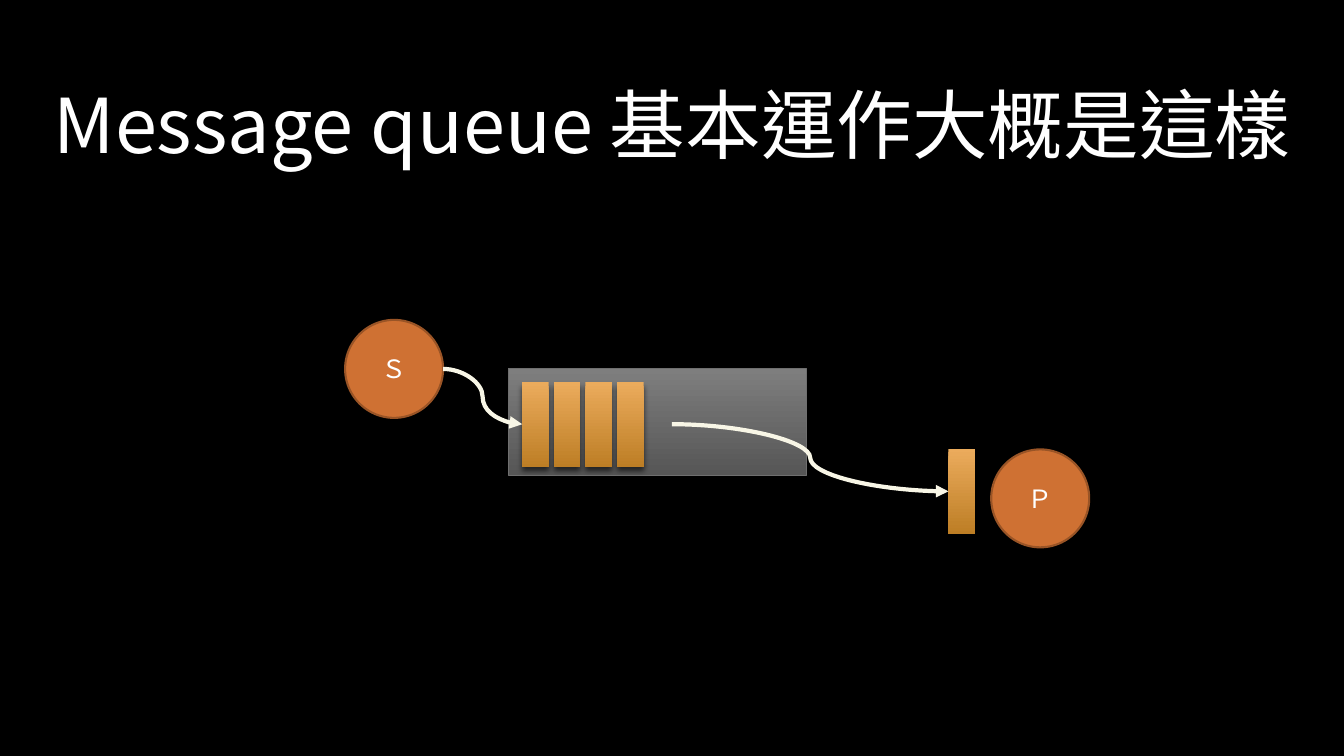
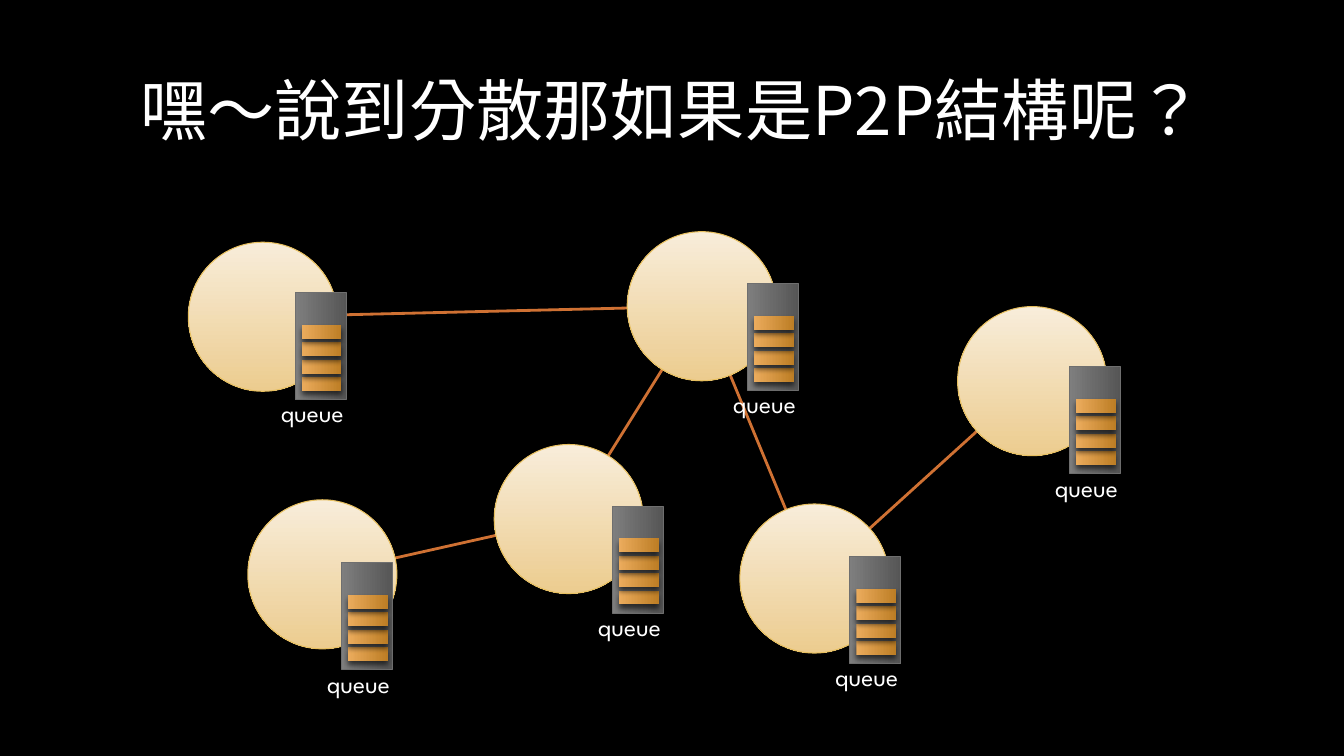
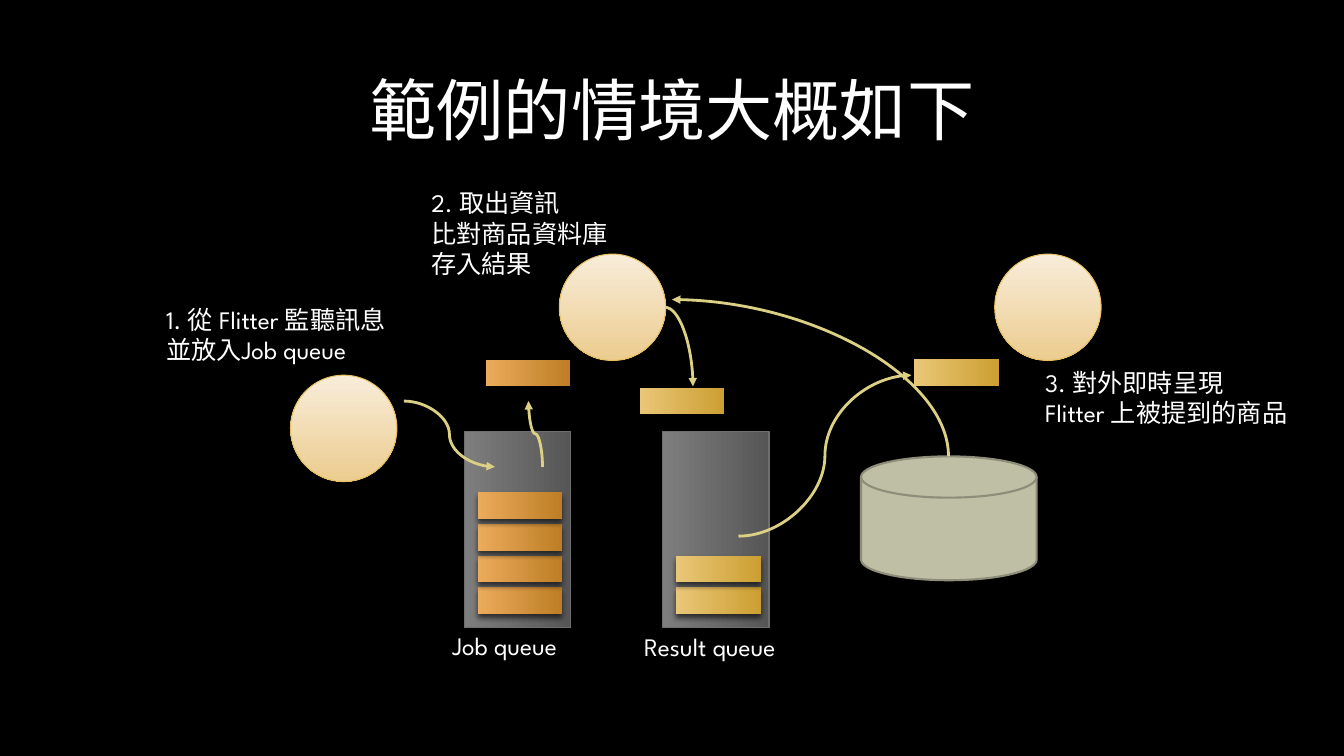
from pptx import Presentation
from pptx.dml.color import RGBColor
from pptx.enum.shapes import MSO_CONNECTOR, MSO_SHAPE
from pptx.enum.text import MSO_ANCHOR, MSO_AUTO_SIZE, PP_ALIGN
from pptx.oxml.ns import qn
from pptx.util import Pt
from lxml import etree

RECT, OVAL = MSO_SHAPE.RECTANGLE, MSO_SHAPE.OVAL
PROC, DISK = MSO_SHAPE.FLOWCHART_PROCESS, MSO_SHAPE.FLOWCHART_MAGNETIC_DISK
LINE, CURVE = MSO_CONNECTOR.STRAIGHT, MSO_CONNECTOR.CURVE
TOP, MID = MSO_ANCHOR.TOP, MSO_ANCHOR.MIDDLE
CENTER, LEFT = PP_ALIGN.CENTER, PP_ALIGN.LEFT
NOFIT, FIT = MSO_AUTO_SIZE.NONE, MSO_AUTO_SIZE.SHAPE_TO_FIT_TEXT

HUES = {
    "back": "000000", "text": "FFFFFF", "rust": "CF7133", "brown": "995426",
    "steel": "6F6F6F", "sand": "E7BF5F", "sage": "BFBFA5", "moss": "8D8D7A",
    "cream": "F8F6E6", "straw": "DCD084",
}
FADES = {
    "gray": ("7E7E7E", "565656"), "amber": ("EBAB5C", "BD7E25"),
    "gold": ("EAC778", "CC9F32"), "pale": ("F8EDDA", "ECCC8F"),
}
HEAD, BODY = "Noto Sans CJK TC", "League Spartan"
WIDE, HIGH = 960, 540
DOWN, ACROSS = 270, 0
BIG = {"thick": 19, "long": 60.5, "step": 22.6, "end": 10, "side": 9.7}
SMALL = {"thick": 10, "long": 28.3, "step": 12.4, "end": 6.2, "side": 4.7}


def rgb(name):
    """Return a named colour."""
    return RGBColor.from_string(HUES[name])


def write(frame, text, face, size, align, pitch=None):
    """Fill a text frame and format its runs."""
    frame.text = text
    for para in frame.paragraphs:
        para.alignment = align
        if pitch:
            para.line_spacing = Pt(pitch)
        for run in para.runs:
            run.font.name = face
            run.font.size = Pt(size)
            run.font.color.rgb = rgb("text")
            props = run.font._element
            props.set("lang", "zh-TW")
            etree.SubElement(props, qn("a:ea"), typeface=face)


def start(deck, text, top, size):
    """Add a slide with its title."""
    slide = deck.slides.add_slide(deck.slide_layouts[5])
    title = slide.shapes.title
    title.left, title.top = Pt(0), Pt(top)
    title.width, title.height = Pt(WIDE), Pt(size * 1.21 + 7.2)
    frame = title.text_frame
    frame.word_wrap, frame.auto_size = True, NOFIT
    frame.vertical_anchor = TOP
    write(frame, text, HEAD, size, CENTER, size * 1.19)
    return slide


def draw(shapes, kind, box, fill, edge=None, weight=0.75, angle=DOWN):
    """Add a preset shape with a plain or graded fill."""
    shape = shapes.add_shape(kind, *(Pt(v) for v in box))
    shape.shadow.inherit = False
    if fill in FADES:
        shape.fill.gradient()
        shape.fill.gradient_angle = angle
        for stop, hue in zip(shape.fill.gradient_stops, FADES[fill]):
            stop.color.rgb = RGBColor.from_string(hue)
        first, last = shape.fill.gradient_stops
        first.position, last.position = 0, 1
    else:
        shape.fill.solid()
        shape.fill.fore_color.rgb = rgb(fill)
    if edge:
        shape.line.color.rgb = rgb(edge)
        shape.line.width = Pt(weight)
    else:
        shape.line.fill.background()
    return shape


def item(shapes, left, top, tone="amber", size=BIG, flat=True):
    """Add one queued message with a drop shadow."""
    wide, high = size["thick"], size["long"]
    if flat:
        wide, high = high, wide
    bar = draw(shapes, RECT, (left, top, wide, high), tone,
               angle=ACROSS if flat else DOWN)
    effects = bar.element.spPr.find(qn("a:effectLst"))
    shade = etree.SubElement(effects, qn("a:outerShdw"), blurRad=str(Pt(4)),
                             dist=str(Pt(3)), dir="5400000", rotWithShape="0")
    hue = etree.SubElement(shade, qn("a:srgbClr"), val=HUES["back"])
    etree.SubElement(hue, qn("a:alpha"), val="60000")


def queue(slide, box, count, tone="amber", size=BIG, flat=True):
    """Add a queue box with messages stacked from its closed end."""
    left, top, wide, high = box
    shapes = slide.shapes.add_group_shape().shapes
    draw(shapes, PROC, box, "gray", "steel", angle=ACROSS if flat else DOWN)
    for i in range(count):
        gap = size["end"] + i * size["step"]
        if flat:
            spot = left + size["side"], top + high - gap - size["thick"]
        else:
            spot = left + gap, top + size["side"]
        item(shapes, *spot, tone, size, flat)


def label(slide, left, top, wide, text):
    """Add a left-aligned note."""
    high = 22 * (text.count("\n") + 1) + 7.2
    note = slide.shapes.add_textbox(Pt(left), Pt(top), Pt(wide), Pt(high))
    write(note.text_frame, text, BODY, 18, LEFT, 21.6)
    note.text_frame.word_wrap = False
    note.text_frame.auto_size = FIT


def link(slide, kind, begin, end, hue, weight):
    """Add a connector without shadow."""
    line = slide.shapes.add_connector(kind, *(Pt(v) for v in (*begin, *end)))
    line.line.color.rgb = rgb(hue)
    line.line.width = Pt(weight)
    etree.SubElement(line.element.spPr, qn("a:effectLst"))
    return line


def curve(slide, begin, end, hue, weight=2, turn=False, bend=3):
    """Add a curved arrow; turn makes an up-left one leave upwards."""
    if turn:
        (ax, ay), (bx, by) = begin, end
        midx, midy = (ax + bx) / 2, (ay + by) / 2
        halfx, halfy = (ay - by) / 2, (ax - bx) / 2
        begin = midx - halfx, midy + halfy
        end = midx + halfx, midy - halfy
    line = link(slide, CURVE, begin, end, hue, weight)
    props = line.element.spPr
    if turn:
        props.find(qn("a:xfrm")).set("rot", "16200000")
    props.find(qn("a:prstGeom")).set("prst", f"curvedConnector{bend}")
    etree.SubElement(props.find(qn("a:ln")), qn("a:tailEnd"), type="triangle")


def actor(slide, left, top, text):
    """Add a lettered circle."""
    disc = draw(slide.shapes, OVAL, (left, top, 70, 70), "rust", "brown", 1.5)
    disc.text_frame.vertical_anchor = MID
    write(disc.text_frame, text, BODY, 18, CENTER)


def ball(slide, left, top, size):
    """Add a pale circle."""
    draw(slide.shapes, OVAL, (left, top, size, size), "pale", "sand")


def basics(deck):
    """Build the slide on how a message queue works."""
    slide = start(deck, "Message queue 基本運作大概是這樣", 52.5, 54)
    queue(slide, (363, 263.5, 213, 76), 4, flat=False)
    item(slide.shapes, 677.5, 321, flat=False)
    actor(slide, 246.5, 228.5, "Ｓ")
    actor(slide, 708, 321, "Ｐ")
    curve(slide, (316.5, 263.5), (373, 303), "cream", 3)
    curve(slide, (480, 303), (677.5, 351), "cream", 3)


def peers(deck):
    """Build the slide on a peer-to-peer network of queues."""
    slide = start(deck, "嘿～說到分散那如果是P2P結構呢？", 45.5, 48)
    size = 106.5
    nodes = {
        "west": ((134.5, 173), (211, 209)),
        "south": ((177, 357), (244, 402)),
        "mid": ((353, 317.5), (437.5, 361.5)),
        "north": ((448, 165.5), (534, 202.5)),
        "low": ((528.5, 360), (607, 397.5)),
        "east": ((684, 219), (764, 262)),
    }
    pairs = (("west", "north"), ("mid", "north"), ("low", "north"),
             ("low", "east"), ("south", "mid"))
    for pair in pairs:
        ends = [[v + size / 2 for v in nodes[name][0]] for name in pair]
        link(slide, LINE, *ends, "rust", 2)
    for spot, (left, top) in nodes.values():
        ball(slide, *spot, size)
        queue(slide, (left, top, 36.3, 76.5), 4, size=SMALL)
        label(slide, left - 17.5, top + 71.5, 72.5, "queue")


def example(deck):
    """Build the slide on the sample scenario."""
    slide = start(deck, "範例的情境大概如下", 45.5, 48)
    queue(slide, (331.5, 308.5, 76, 140), 4)
    queue(slide, (473.3, 308.5, 76, 140), 2, "gold")
    draw(slide.shapes, DISK, (615, 326, 125.5, 88.5), "sage", "moss", 1.5)
    for spot in ((207.5, 268), (399.5, 181.5), (710.5, 181.5)):
        ball(slide, *spot, 76)
    notes = (
        (316, 446.5, 111, "Job queue"),
        (453, 447.5, 129, "Result queue"),
        (111.5, 214, 204, "1. 從 Flitter 監聽訊息\n並放入Job queue"),
        (301, 130.5, 146, "2. 取出資訊\n比對商品資料庫\n存入結果"),
        (739.5, 259, 215, "3. 對外即時呈現\nFlitter 上被提到的商品"),
    )
    for note in notes:
        label(slide, *note)
    item(slide.shapes, 653, 256.5, "gold")
    item(slide.shapes, 457, 277, "gold")
    item(slide.shapes, 347, 257)
    curve(slide, (288.5, 286.5), (353.5, 333.5), "straw")
    curve(slide, (387.5, 333.5), (377.5, 286.5), "straw", turn=True)
    curve(slide, (475, 219.5), (495, 276), "straw", bend=2)
    curve(slide, (527.5, 383), (651, 268), "straw")
    curve(slide, (677.5, 326), (480, 214), "straw", turn=True, bend=2)


def main():
    """Build and save the deck."""
    deck = Presentation()
    deck.slide_width, deck.slide_height = Pt(WIDE), Pt(HIGH)
    fill = deck.slide_master.background.fill
    fill.solid()
    fill.fore_color.rgb = rgb("back")
    for build in (basics, peers, example):
        build(deck)
    deck.save("out.pptx")


if __name__ == "__main__":
    main()
